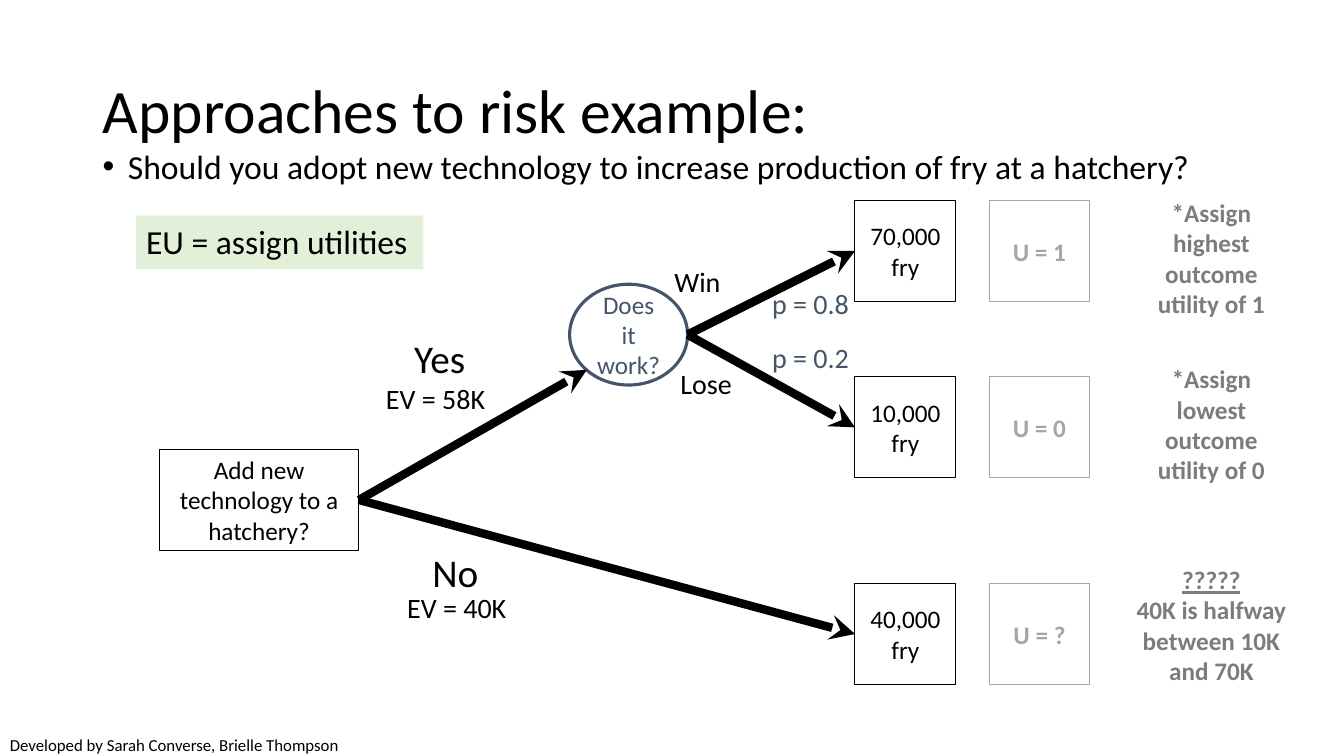
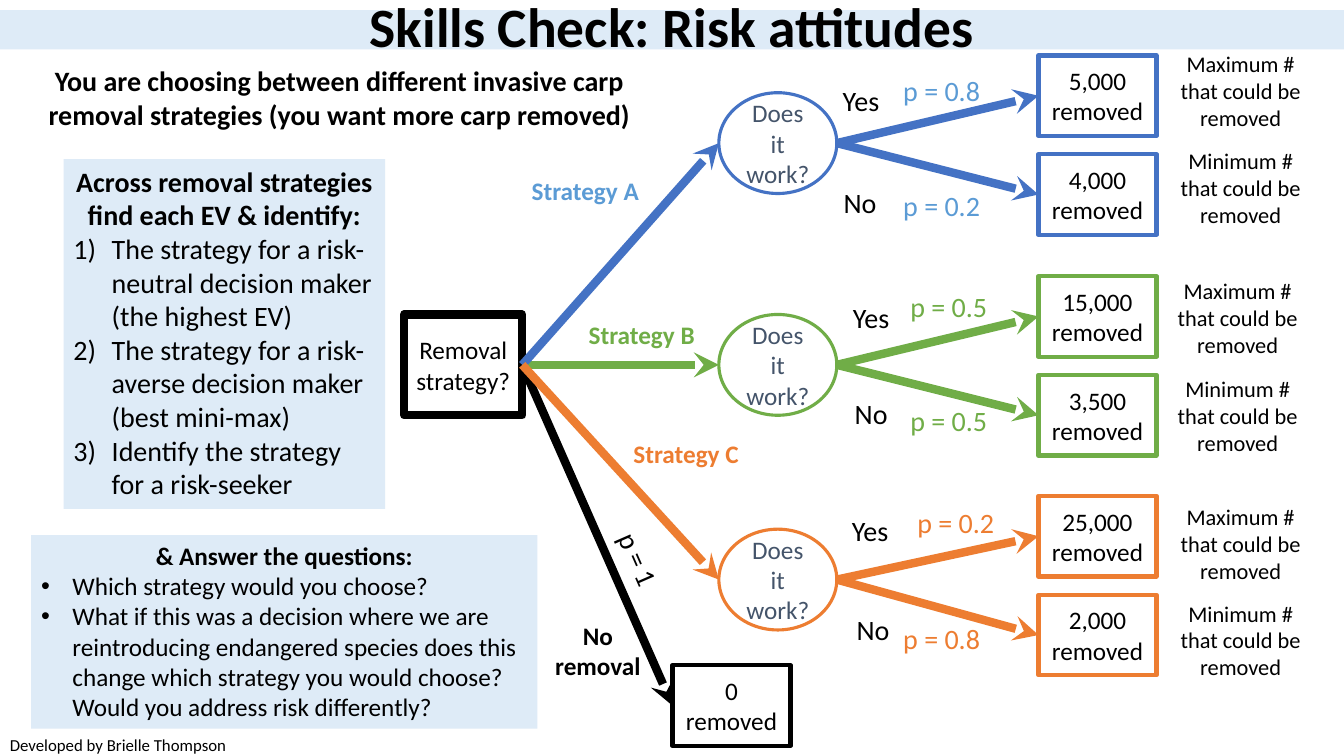
"""Build two slides of decision trees about attitudes to risk."""
from dataclasses import dataclass

from lxml import etree
from pptx import Presentation
from pptx import util as u
from pptx.dml import color as dml
from pptx.enum import shapes, text
from pptx.oxml import ns

FONT = "Calibri"
COLORS = {
    "black": "000000",
    "slate": "44546A",
    "gray": "A6A6A6",
    "dark gray": "7C7C7C",
    "blue": "4472C4",
    "light blue": "5B9BD5",
    "green": "70AD47",
    "orange": "ED7D31",
    "pale green": "E2F0D9",
    "pale blue": "DEEBF7",
}
RECTANGLE = shapes.MSO_SHAPE.RECTANGLE
OVAL = shapes.MSO_SHAPE.OVAL
LEFT, CENTER = text.PP_ALIGN.LEFT, text.PP_ALIGN.CENTER
TOP, MIDDLE = text.MSO_ANCHOR.TOP, text.MSO_ANCHOR.MIDDLE
Point = tuple[float, float]


@dataclass(frozen=True)
class Box:
    left: float
    top: float
    width: float
    height: float

    @property
    def lengths(self):
        return [u.Inches(side) for side in (self.left, self.top, self.width, self.height)]

    @property
    def left_middle(self) -> Point:
        return self.left, self.top + self.height / 2

    @property
    def right_middle(self) -> Point:
        return self.left + self.width, self.top + self.height / 2


@dataclass(frozen=True)
class Label:
    words: str
    box: Box
    size: float = 20
    color: str = "black"
    bold: bool = False
    align: text.PP_ALIGN = LEFT


@dataclass(frozen=True)
class Outcome:
    payoff: str
    answer: str
    answer_at: Point
    odds: str
    odds_at: Point
    extreme: str
    note_at: Point


@dataclass(frozen=True)
class Strategy:
    name: str
    name_at: Point
    color: str
    text_color: str
    chance_top: float
    payoff_top: float
    outcomes: tuple[Outcome, Outcome]


def rgb(name: str) -> dml.RGBColor:
    return dml.RGBColor.from_string(COLORS[name])


def write(shape, words: str, *, size: float = 18, color: str = "black", bold: bool = False,
          underline: bool = False, align=CENTER, spacing: float = 1.0,
          bullet: str = "", indent: float = 0):
    frame = shape.text_frame
    paragraph = frame.paragraphs[0]
    if paragraph.runs:
        paragraph = frame.add_paragraph()
    paragraph.alignment = align
    paragraph.line_spacing = spacing
    paragraph.space_before = u.Pt(0)
    if bullet:
        properties = paragraph._p.get_or_add_pPr()
        properties.set("marL", str(u.Inches(indent)))
        properties.set("indent", str(-u.Inches(indent)))
        if bullet == "1)":
            etree.SubElement(properties, ns.qn("a:buAutoNum"), type="arabicParenR")
        else:
            etree.SubElement(properties, ns.qn("a:buFont"), typeface="Arial")
            etree.SubElement(properties, ns.qn("a:buChar"), char=bullet)
    run = paragraph.add_run()
    run.text = words
    run.font.name = FONT
    run.font.size = u.Pt(size)
    run.font.bold = bold
    run.font.underline = underline
    run.font.color.rgb = rgb(color)


def prepare_frame(shape, anchor):
    frame = shape.text_frame
    frame.word_wrap = True
    frame.auto_size = text.MSO_AUTO_SIZE.NONE
    frame.vertical_anchor = anchor


def add_text(slide, box: Box):
    shape = slide.shapes.add_textbox(*box.lengths)
    prepare_frame(shape, TOP)
    return shape


def add_label(slide, label: Label):
    shape = add_text(slide, label.box)
    write(shape, label.words, size=label.size, color=label.color, bold=label.bold, align=label.align)
    return shape


def add_node(slide, box: Box, words: str, *, kind=RECTANGLE, line: str = "black",
             width: float = 0.75, color: str = "black", bold: bool = False):
    shape = slide.shapes.add_shape(kind, *box.lengths)
    shape.shadow.inherit = False
    shape.fill.background()
    shape.line.color.rgb = rgb(line)
    shape.line.width = u.Pt(width)
    prepare_frame(shape, MIDDLE)
    write(shape, words, color=color, bold=bold)


def add_panel(slide, box: Box, fill: str):
    shape = slide.shapes.add_shape(RECTANGLE, *box.lengths)
    shape.shadow.inherit = False
    shape.fill.solid()
    shape.fill.fore_color.rgb = rgb(fill)
    shape.line.fill.background()
    prepare_frame(shape, TOP)
    return shape


def add_arrow(slide, start: Point, end: Point, color: str = "black"):
    ends = [u.Inches(value) for value in (*start, *end)]
    connector = slide.shapes.add_connector(shapes.MSO_CONNECTOR.STRAIGHT, *ends)
    connector.line.color.rgb = rgb(color)
    connector.line.width = u.Pt(6)
    properties = connector.element.spPr
    etree.SubElement(properties.find(ns.qn("a:ln")), ns.qn("a:tailEnd"), type="stealth")
    etree.SubElement(properties, ns.qn("a:effectLst"))


def add_titled_slide(presentation, words: str, box: Box, authors: str, *,
                     size: float = 44, bold: bool = False, align=LEFT):
    slide = presentation.slides.add_slide(presentation.slide_layouts[5])
    title = slide.shapes.title
    title.left, title.top, title.width, title.height = box.lengths
    prepare_frame(title, MIDDLE)
    write(title, words, size=size, bold=bold, align=align, spacing=0.9)
    add_label(slide, Label(f"Developed by {authors}", Box(0, 7.24, 6.67, 0.3), 12))
    return slide


def build_example(presentation):
    slide = add_titled_slide(presentation, "Approaches to risk example:",
                             Box(0.92, 0.4, 11.5, 1.45), "Sarah Converse, Brielle Thompson")
    question = add_text(slide, Box(0.92, 1.44, 11.81, 0.55))
    write(question, "Should you adopt new technology to increase production of fry at a hatchery?",
          size=24, align=LEFT, spacing=0.9, bullet="•", indent=0.25)

    decision = Box(1.58, 4.46, 1.98, 1)
    chance = Box(5.65, 2.82, 1.17, 1)
    add_node(slide, decision, "Add new technology to a hatchery?")
    add_node(slide, chance, "Does it work?", kind=OVAL, line="slate", width=2.25, color="slate")
    add_arrow(slide, decision.right_middle, (5.82, 3.67))
    for top, fry, utility, source in (
        (1.99, "70,000 fry", "U = 1", chance),
        (3.74, "10,000 fry", "U = 0", chance),
        (5.79, "40,000 fry", "U = ?", decision),
    ):
        payoff = Box(8.48, top, 1, 1)
        add_node(slide, payoff, fry)
        add_node(slide, Box(9.81, top, 1, 1), utility, line="gray", color="gray", bold=True)
        add_arrow(slide, source.right_middle, payoff.left_middle)

    for label in (
        Label("Yes", Box(4.01, 3.27, 0.8, 0.58), 28),
        Label("No", Box(4.19, 5.39, 0.8, 0.58), 28),
        Label("Win", Box(6.59, 2.57, 0.8, 0.4)),
        Label("Lose", Box(6.65, 3.59, 0.94, 0.4)),
        Label("p = 0.8", Box(7.56, 2.79, 1.08, 0.37), color="slate"),
        Label("p = 0.2", Box(7.56, 3.33, 1.08, 0.37), color="slate"),
        Label("EV = 40K", Box(3.94, 5.81, 1.3, 0.4)),
        Label("EV = 58K", Box(3.73, 3.74, 1.34, 0.4)),
        Label("*Assign highest outcome utility of 1", Box(11.31, 1.91, 1.41, 1.31),
              18, "dark gray", True, CENTER),
        Label("*Assign lowest outcome utility of 0", Box(11.31, 3.56, 1.41, 1.31),
              18, "dark gray", True, CENTER),
    ):
        add_label(slide, label)
    write(add_panel(slide, Box(1.35, 2.14, 2.85, 0.53), "pale green"),
          "EU = assign utilities", size=24, align=LEFT)
    halfway = add_text(slide, Box(11.03, 5.55, 1.97, 1.31))
    write(halfway, "?????", color="dark gray", bold=True, underline=True)
    write(halfway, "40K is halfway between 10K and 70K", color="dark gray", bold=True)


STRATEGIES = (
    Strategy("Strategy B", (5.55, 3.12), "green", "green", 3.12, 2.74, (
        Outcome("15,000", "Yes", (8.24, 2.93), "p = 0.5", (8.93, 2.82), "Maximum", (11.45, 2.7)),
        Outcome("3,500", "No", (8.24, 3.88), "p = 0.5", (8.93, 3.95), "Minimum", (11.45, 3.67)))),
    Strategy("Strategy A", (4.99, 1.69), "blue", "light blue", 0.92, 0.55, (
        Outcome("5,000", "Yes", (8.14, 0.78), "p = 0.8", (8.86, 0.68), "Maximum", (11.48, 0.45)),
        Outcome("4,000", "No", (8.13, 1.79), "p = 0.2", (8.86, 1.82), "Minimum", (11.48, 1.41)))),
    Strategy("Strategy C", (5.99, 4.3), "orange", "orange", 5.25, 4.92, (
        Outcome("25,000", "Yes", (8.23, 5.05), "p = 0.2", (9, 4.97), "Maximum", (11.48, 4.94)),
        Outcome("2,000", "No", (8.26, 6.03), "p = 0.8", (8.86, 6.12), "Minimum", (11.48, 5.9)))),
)


def add_strategy(slide, strategy: Strategy, start: Point):
    chance = Box(7.13, strategy.chance_top, 1.17, 1)
    add_node(slide, chance, "Does it work?", kind=OVAL, line=strategy.color, width=2.25, color="slate")
    add_arrow(slide, start, chance.left_middle, strategy.color)
    add_label(slide, Label(strategy.name, Box(*strategy.name_at, 1.63, 0.4),
                           18, strategy.text_color, True, CENTER))
    for row, outcome in enumerate(strategy.outcomes):
        payoff = Box(10.3, strategy.payoff_top + 0.98 * row, 1.17, 0.8)
        add_node(slide, payoff, f"{outcome.payoff} removed", line=strategy.color, width=3)
        add_arrow(slide, chance.right_middle, payoff.left_middle, strategy.color)
        add_label(slide, Label(outcome.answer, Box(*outcome.answer_at, 0.8, 0.4), align=CENTER))
        add_label(slide, Label(outcome.odds, Box(*outcome.odds_at, 1.08, 0.37),
                               color=strategy.text_color))
        add_label(slide, Label(f"{outcome.extreme} # that could be removed",
                               Box(*outcome.note_at, 1.65, 0.91), 16, align=CENTER))


def build_skills_check(presentation):
    slide = add_titled_slide(presentation, "Skills Check: Risk attitudes", Box(0, 0.1, 13.33, 0.39),
                             "Brielle Thompson", size=39.6, bold=True, align=CENTER)
    slide.shapes.title.fill.solid()
    slide.shapes.title.fill.fore_color.rgb = rgb("pale blue")

    decision = Box(4.01, 3.12, 1.17, 1)
    nothing = Box(6.67, 6.6, 1.17, 0.8)
    start = decision.right_middle
    add_arrow(slide, start, nothing.left_middle)
    add_node(slide, decision, "Removal strategy?", width=6)
    for strategy in STRATEGIES:
        add_strategy(slide, strategy, start)
    add_node(slide, nothing, "0 removed", width=3)
    add_label(slide, Label("No removal", Box(5.32, 6.1, 1.22, 0.71), 18, bold=True, align=CENTER))
    add_label(slide, Label("p = 1", Box(5.89, 5.5, 1.08, 0.37))).rotation = 66.3
    add_label(slide, Label("You are choosing between different invasive carp removal strategies "
                           "(you want more carp removed)",
                           Box(0.12, 0.58, 6.49, 0.77), bold=True, align=CENTER))

    tasks = add_panel(slide, Box(0.63, 1.58, 3.19, 3.47), "pale blue")
    write(tasks, "Across removal strategies find each EV & identify:", size=20, bold=True)
    for task in (
        "The strategy for a risk-neutral decision maker (the highest EV)",
        "The strategy for a risk-averse decision maker (best mini-max)",
        "Identify the strategy for a risk-seeker",
    ):
        write(tasks, task, size=20, align=LEFT, bullet="1)", indent=0.38)

    questions = add_panel(slide, Box(0.31, 5.31, 5.02, 1.92), "pale blue")
    write(questions, "& Answer the questions:", bold=True)
    for question in (
        "Which strategy would you choose?",
        "What if this was a decision where we are reintroducing endangered species does this "
        "change which strategy you would choose? Would you address risk differently?",
    ):
        write(questions, question, align=LEFT, bullet="•", indent=0.31)


def main():
    presentation = Presentation()
    presentation.slide_width, presentation.slide_height = u.Inches(13.33), u.Inches(7.5)
    build_example(presentation)
    build_skills_check(presentation)
    presentation.save("out.pptx")


if __name__ == "__main__":
    main()
